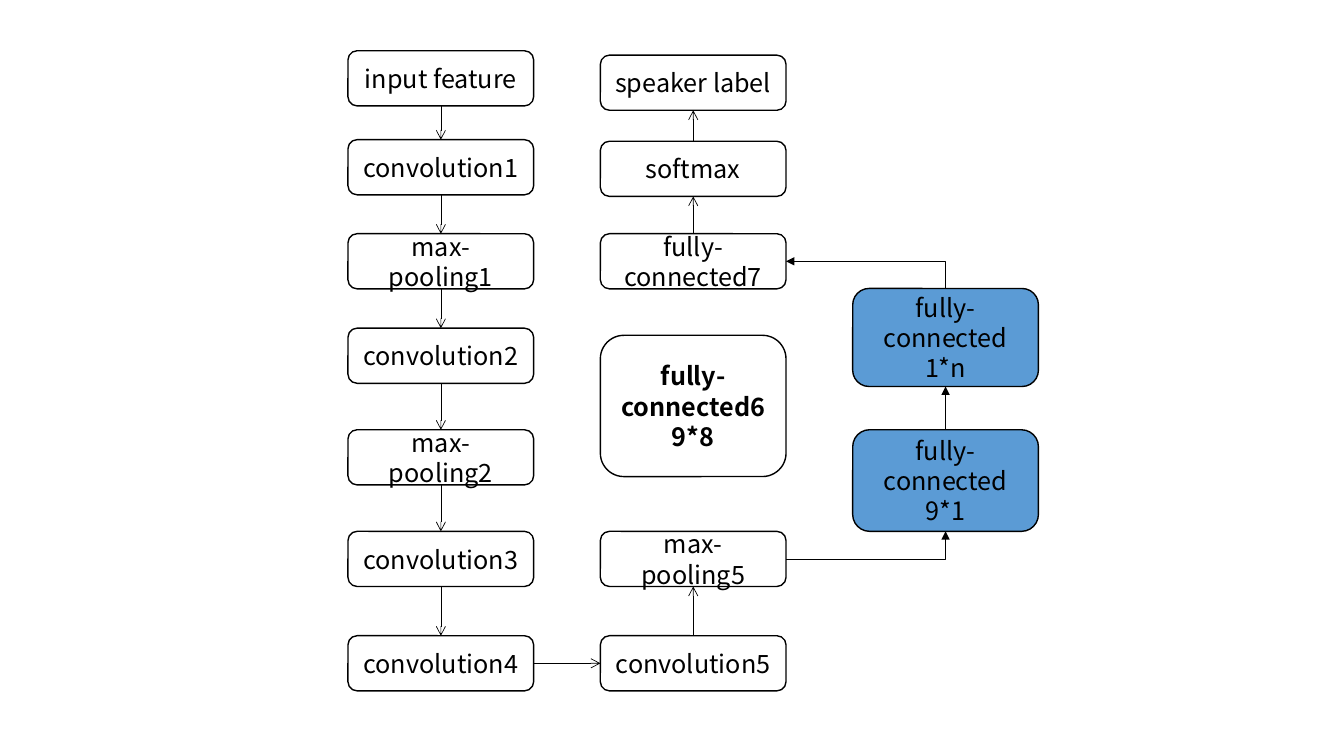
from itertools import pairwise

from lxml.etree import SubElement
from pptx import Presentation
from pptx.dml.color import RGBColor
from pptx.enum.shapes import MSO_CONNECTOR, MSO_SHAPE
from pptx.enum.text import MSO_ANCHOR, PP_ALIGN
from pptx.oxml.ns import qn
from pptx.util import Cm, Pt

COLORS = {"white": "FFFFFF", "black": "000000", "blue": "5B9BD5"}
FONT = {"name": "Noto Sans CJK SC", "size": Pt(18)}
TOP, LEFT, BOTTOM, RIGHT = range(4)

# Column grid, in centimetres
FIRST_LEFT, COLUMN_STEP = 8.77, 6.36
BOX_WIDTH, BOX_HEIGHT = 4.68, 1.39

# Label and top of each plain layer
DOWN_LAYERS = [
    ("input feature", 1.28), ("convolution1", 3.52), ("max-pooling1", 5.89),
    ("convolution2", 8.27), ("max-pooling2", 10.83), ("convolution3", 13.39),
    ("convolution4", 16.02),
]
UP_LAYERS = [
    ("convolution5", 16.02), ("max-pooling5", 13.39), ("fully-connected7", 5.89),
    ("softmax", 3.56), ("speaker label", 1.39),
]


def color(name):
    return RGBColor.from_string(COLORS[name])


def add_layer(page, label, column, top, height=BOX_HEIGHT, fill="white", bold=False):
    box = page.shapes.add_shape(
        MSO_SHAPE.ROUNDED_RECTANGLE, Cm(FIRST_LEFT + column * COLUMN_STEP),
        Cm(top), Cm(BOX_WIDTH), Cm(height))
    box.shadow.inherit = False
    box.fill.solid()
    box.fill.fore_color.rgb = color(fill)
    box.line.color.rgb = color("black")
    box.line.width = Pt(1)
    frame = box.text_frame
    frame.word_wrap = True
    frame.vertical_anchor = MSO_ANCHOR.MIDDLE
    frame.text = label
    for para in frame.paragraphs:
        para.alignment = PP_ALIGN.CENTER
        for span in para.runs:
            for attribute, value in {**FONT, "bold": bold}.items():
                setattr(span.font, attribute, value)
            span.font.color.rgb = color("black")
            # East Asian text uses the same face
            SubElement(span.font._element, qn("a:ea"), typeface=FONT["name"])
    return box


def add_link(page, start, start_side, end, end_side, kind=MSO_CONNECTOR.STRAIGHT,
             arrow="arrow", arrow_end="tailEnd"):
    link = page.shapes.add_connector(kind, 0, 0, 0, 0)
    link.begin_connect(start, start_side)
    link.end_connect(end, end_side)
    link.line.color.rgb = color("black")
    link.line.width = Pt(0.5)
    properties = link._element.spPr
    SubElement(properties.find(qn("a:ln")), qn(f"a:{arrow_end}"), type=arrow)
    SubElement(properties, qn("a:effectLst"))
    # An elbow with a single corner
    if kind == MSO_CONNECTOR.ELBOW:
        properties.find(qn("a:prstGeom")).set("prst", "bentConnector2")
    return link


def main():
    deck = Presentation()
    deck.slide_width, deck.slide_height = Cm(33.87), Cm(19.05)
    page = deck.slides.add_slide(deck.slide_layouts[6])

    # Layers
    down = [add_layer(page, label, 0, top) for label, top in DOWN_LAYERS]
    up = [add_layer(page, label, 1, top) for label, top in UP_LAYERS]
    convolution5, pooling5, connected7, softmax, speaker = up
    add_layer(page, "fully-connected6\n9*8", 1, 8.45, 3.56, bold=True)
    upper = add_layer(page, "fully-connected\n1*n", 2, 7.27, 2.47, "blue")
    lower = add_layer(page, "fully-connected\n9*1", 2, 10.83, 2.56, "blue")

    # Straight flow down the first column and up the second
    for start, end in pairwise(down):
        add_link(page, start, BOTTOM, end, TOP)
    add_link(page, down[-1], RIGHT, convolution5, LEFT)
    for start, end in [(convolution5, pooling5), (connected7, softmax), (softmax, speaker)]:
        add_link(page, start, TOP, end, BOTTOM)

    # Detour through the two blue layers
    add_link(page, pooling5, RIGHT, lower, BOTTOM, MSO_CONNECTOR.ELBOW, "triangle")
    add_link(page, lower, TOP, upper, BOTTOM, arrow="triangle")
    add_link(page, connected7, RIGHT, upper, TOP, MSO_CONNECTOR.ELBOW, "triangle", "headEnd")

    deck.save("out.pptx")


if __name__ == "__main__":
    main()
